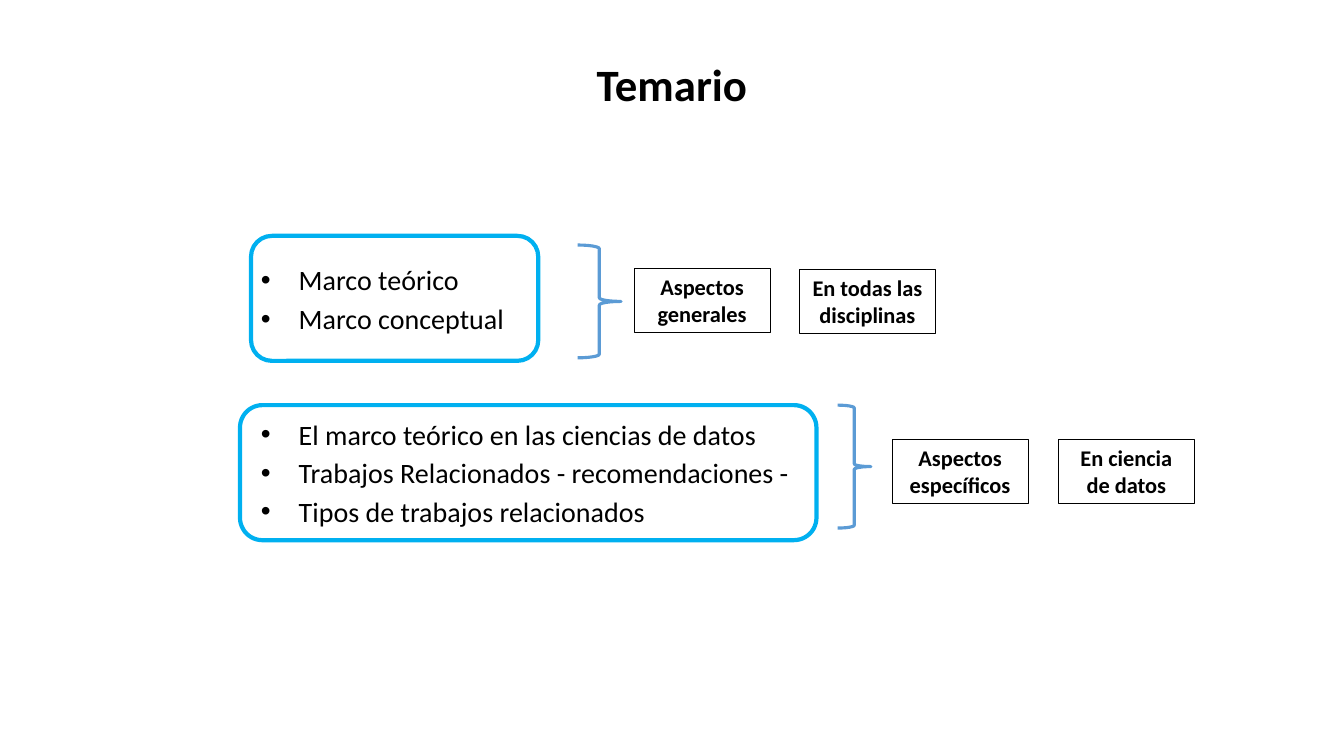
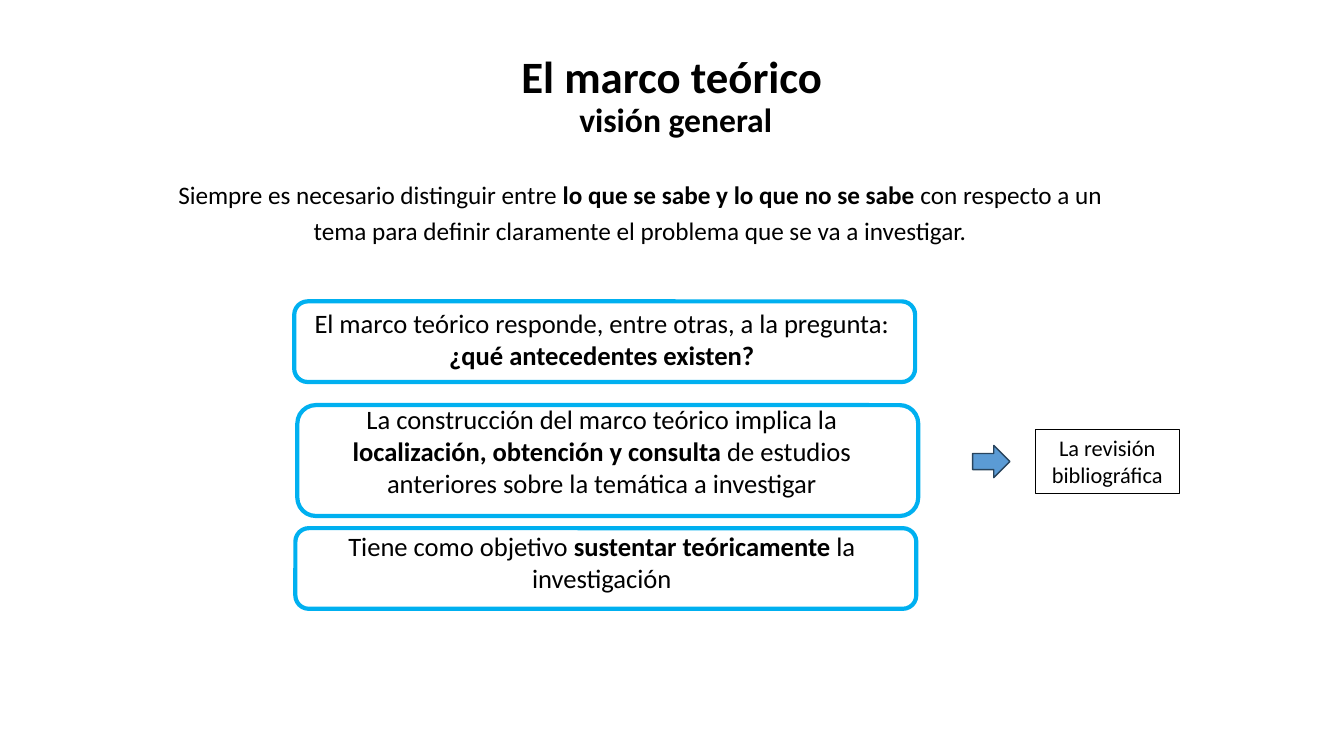
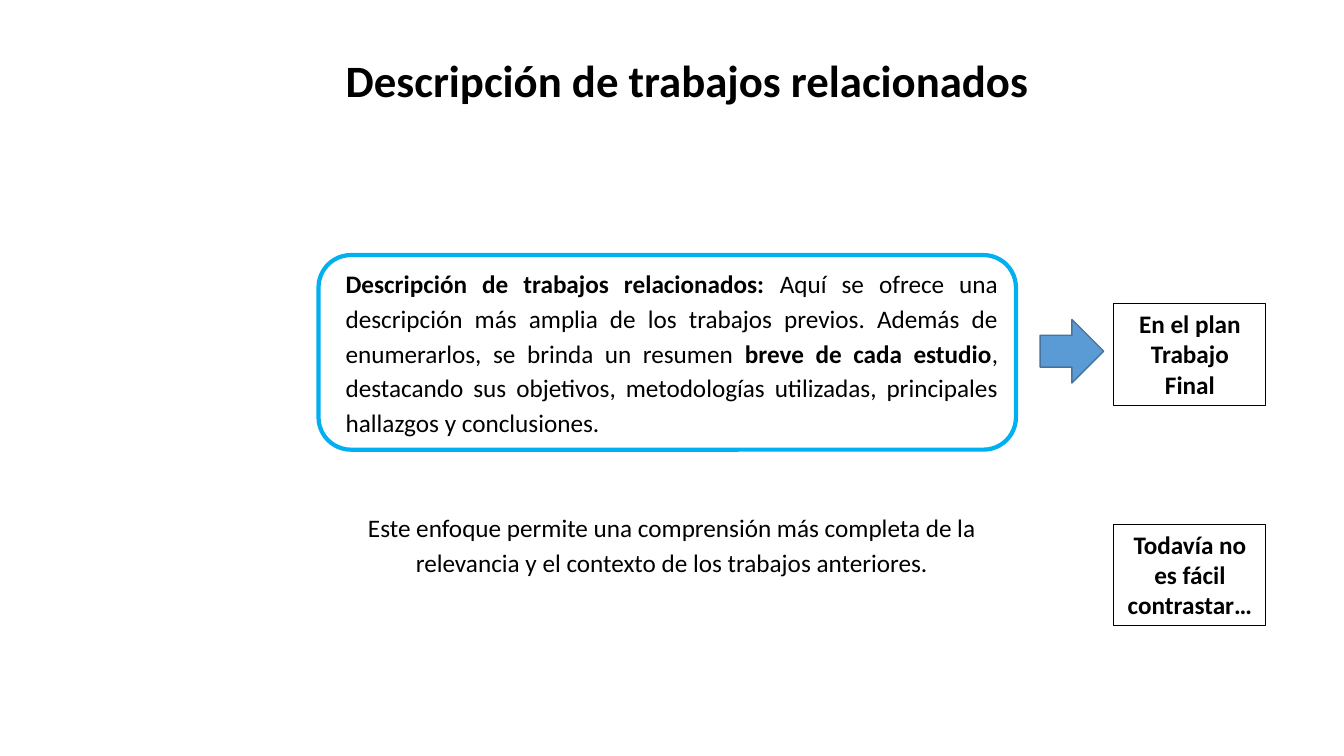
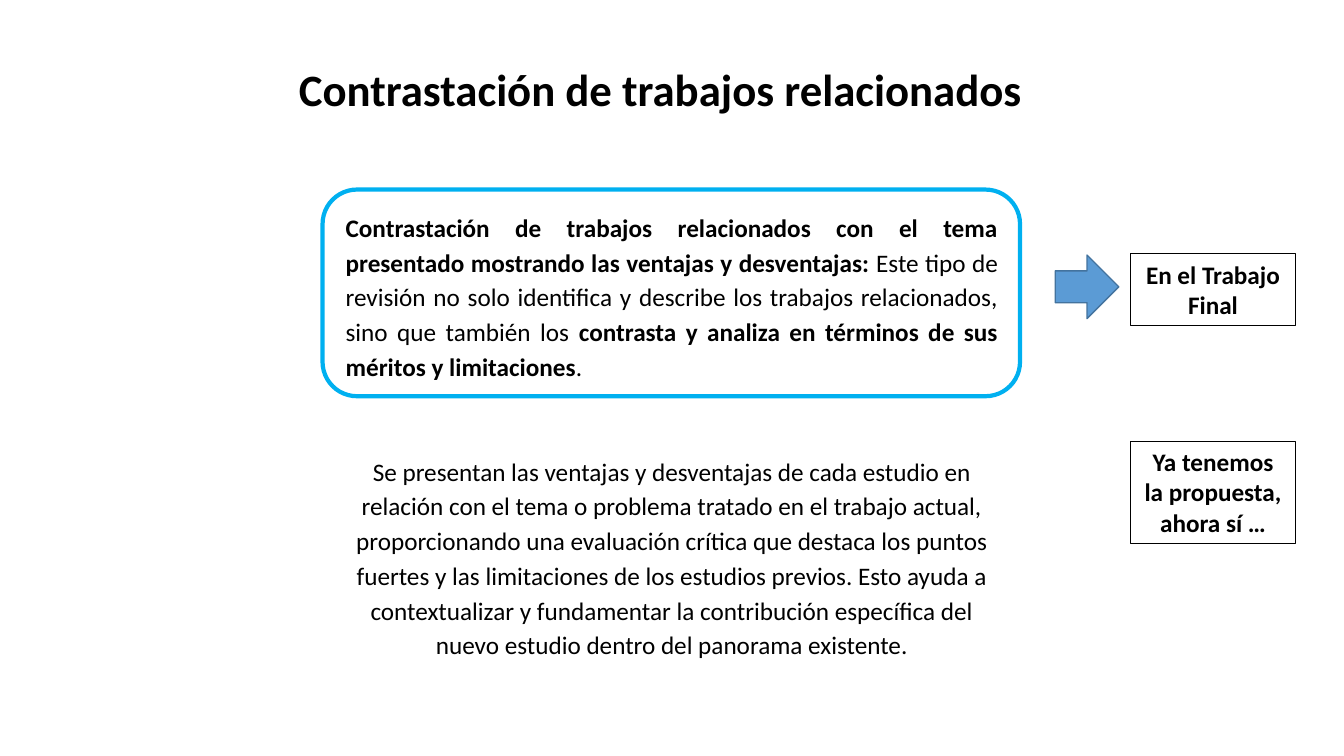
"""Build four slides on theoretical frameworks and related work."""
from lxml import etree
from pptx import Presentation
from pptx.dml.color import RGBColor
from pptx.enum import shapes, text as txt
from pptx.oxml import ns
from pptx.util import Pt

BLACK = RGBColor(0x00, 0x00, 0x00)
CYAN = RGBColor(0x00, 0xB0, 0xF0)
BLUE = RGBColor(0x5B, 0x9B, 0xD5)
NAVY = RGBColor(0x28, 0x44, 0x5D)
STEEL = RGBColor(0x43, 0x73, 0x9E)
FONT = "Calibri"
KINDS = shapes.MSO_SHAPE
CENTER = txt.PP_ALIGN.CENTER
JUSTIFY = txt.PP_ALIGN.JUSTIFY
BULLET_INDENT = Pt(27)


def add_bullet(paragraph):
    properties = paragraph._p.get_or_add_pPr()
    properties.set("marL", str(BULLET_INDENT))
    properties.set("indent", str(-BULLET_INDENT))
    etree.SubElement(properties, ns.qn("a:buFont")).set("typeface", "Arial")
    etree.SubElement(properties, ns.qn("a:buChar")).set("char", "•")


def write(slide, box, lines, size=18, aligns=(CENTER,), spacing=1.0, gaps=None,
          bold=False, bullets=False, anchor=txt.MSO_ANCHOR.TOP):
    """Write one paragraph per line; text between asterisks is bold."""
    holder = slide.shapes.add_textbox(*map(Pt, box))
    frame = holder.text_frame
    frame.word_wrap = True
    frame.vertical_anchor = anchor
    for index, line in enumerate(lines):
        paragraph = frame.paragraphs[0] if index == 0 else frame.add_paragraph()
        paragraph.alignment = aligns[index % len(aligns)]
        paragraph.line_spacing = spacing
        if gaps and index in gaps:
            paragraph.space_before = Pt(gaps[index])
        if bullets:
            add_bullet(paragraph)
        for part, words in enumerate(line.split("*")):
            if words:
                run = paragraph.add_run()
                run.text = words
                run.font.name = FONT
                run.font.size = Pt(size)
                run.font.bold = bold or part % 2 == 1
                run.font.color.rgb = BLACK
    return holder


def add_title(slide, box, heading, subheading=None):
    holder = write(slide, box, [heading], size=32, spacing=0.9, bold=True,
                   anchor=txt.MSO_ANCHOR.MIDDLE)
    if subheading:
        paragraph = holder.text_frame.paragraphs[0]
        paragraph.add_line_break()
        run = paragraph.add_run()
        run.text = " " + subheading
        run.font.name = FONT
        run.font.size = Pt(24)
        run.font.bold = True
        run.font.color.rgb = BLACK


def add_label(slide, box, words, size=16, bold=True, width=0.75):
    label = write(slide, box, [words], size=size, bold=bold)
    label.line.color.rgb = BLACK
    label.line.width = Pt(width)


def add_figure(slide, kind, box, line, width, fill=None):
    figure = slide.shapes.add_shape(kind, *map(Pt, box))
    figure.shadow.inherit = False
    figure.line.color.rgb = line
    figure.line.width = Pt(width)
    if fill is None:
        figure.fill.background()
    else:
        figure.fill.solid()
        figure.fill.fore_color.rgb = fill


def add_frame(slide, box):
    add_figure(slide, KINDS.ROUNDED_RECTANGLE, box, CYAN, 3)


def add_brace(slide, box):
    add_figure(slide, KINDS.RIGHT_BRACE, box, BLUE, 2.25)


def add_arrow(slide, box, line=STEEL):
    add_figure(slide, KINDS.RIGHT_ARROW, box, line, 1, BLUE)


def build_agenda(slide):
    add_title(slide, (66, 29, 828, 67), "Temario")
    write(slide, (179.3, 180.7, 625, 280), [
        "Marco teórico",
        "Marco conceptual",
        "El marco teórico en las ciencias de datos",
        "Trabajos Relacionados - recomendaciones -",
        "Tipos de trabajos relacionados",
    ], size=20, aligns=(JUSTIFY,), spacing=1.15, gaps={2: 55}, bullets=True)
    add_frame(slide, (179.3, 168.5, 205.2, 89.3))
    add_frame(slide, (171.4, 289.4, 411.8, 96.5))
    add_brace(slide, (412.6, 175, 31, 80.6))
    add_brace(slide, (598.3, 289.4, 23.8, 87.8))
    for left, top, words in (
        (452.9, 191.5, "Aspectos generales"),
        (571, 192.2, "En todas las disciplinas"),
        (637.2, 313.9, "Aspectos específicos"),
        (756, 313.9, "En ciencia de datos"),
    ):
        add_label(slide, (left, top, 97.2, 46.1), words)


def build_overview(slide):
    add_title(slide, (66, 29, 828, 80.6), "El marco teórico", "visión general")
    write(slide, (112.3, 120.2, 689.8, 57.6), [
        "Siempre es necesario distinguir entre *lo que se sabe y lo que no se sabe* "
        "con respecto a un tema para definir claramente el problema que se va a "
        "investigar."], spacing=1.2)
    write(slide, (213.1, 216, 433.4, 282), [
        "El marco teórico responde, entre otras, a la pregunta: "
        "*¿qué antecedentes existen?*",
        "La construcción del marco teórico implica la *localización, obtención y "
        "consulta* de estudios anteriores sobre la temática a investigar",
        "Tiene como objetivo *sustentar teóricamente* la investigación",
    ], size=19, gaps={1: 22.5, 2: 22.5})
    for left, top, height in ((210.2, 215.3, 57.6), (212.4, 289.4, 79.2),
                              (211, 377.3, 57.6)):
        add_frame(slide, (left, top, 443.5, height))
    add_arrow(slide, (694.8, 318.2, 26.6, 23), NAVY)
    add_label(slide, (739.4, 306.7, 103, 46.1), "La revisión bibliográfica",
              bold=False, width=0.5)


def add_review(slide, top, height, definition, conclusion):
    write(slide, (239.8, top, 480.2, height), [definition, conclusion],
          aligns=(JUSTIFY, CENTER), spacing=1.15, gaps={1: 50})


def build_description(slide):
    add_title(slide, (77, 20.2, 828, 78.5), "Descripción de trabajos relacionados")
    add_review(
        slide, 185, 232,
        "*Descripción de trabajos relacionados:* Aquí se ofrece una descripción más "
        "amplia de los trabajos previos. Además de enumerarlos, se brinda un resumen "
        "*breve de cada estudio*, destacando sus objetivos, metodologías utilizadas, "
        "principales hallazgos y conclusiones.",
        "Este enfoque permite una comprensión más completa de la relevancia y el "
        "contexto de los trabajos anteriores.")
    add_frame(slide, (227.5, 182.2, 498.2, 139))
    add_arrow(slide, (743, 228.2, 45.4, 45.4))
    add_label(slide, (795.6, 216.7, 108.7, 72.7), "En el plan Trabajo Final", 18)
    add_label(slide, (795.6, 374.4, 108.7, 72.7), "Todavía no es fácil contrastar…", 18)


def build_contrast(slide):
    add_title(slide, (66, 33.8, 812, 64), "Contrastación de trabajos relacionados")
    add_review(
        slide, 144.7, 332,
        "*Contrastación de trabajos relacionados con el tema presentado mostrando las "
        "ventajas y desventajas:* Este tipo de revisión no solo identifica y describe "
        "los trabajos relacionados, sino que también los *contrasta y analiza en "
        "términos de sus méritos y limitaciones*.",
        "Se presentan las ventajas y desventajas de cada estudio en relación con el "
        "tema o problema tratado en el trabajo actual, proporcionando una evaluación "
        "crítica que destaca los puntos fuertes y las limitaciones de los estudios "
        "previos. Esto ayuda a contextualizar y fundamentar la contribución "
        "específica del nuevo estudio dentro del panorama existente.")
    add_frame(slide, (230.4, 135.4, 498.2, 147.6))
    add_arrow(slide, (753.8, 182.2, 45.4, 45.4))
    add_label(slide, (807.8, 181.4, 117.4, 51.1), "En el Trabajo Final", 18)
    add_label(slide, (807.8, 315.4, 117.4, 72.7),
              "Ya tenemos la propuesta, ahora sí …", 18)


def main():
    deck = Presentation()
    deck.slide_width, deck.slide_height = Pt(960), Pt(540)
    blank = deck.slide_layouts[6]
    for build in (build_agenda, build_overview, build_description, build_contrast):
        build(deck.slides.add_slide(blank))
    deck.save("out.pptx")


if __name__ == "__main__":
    main()
